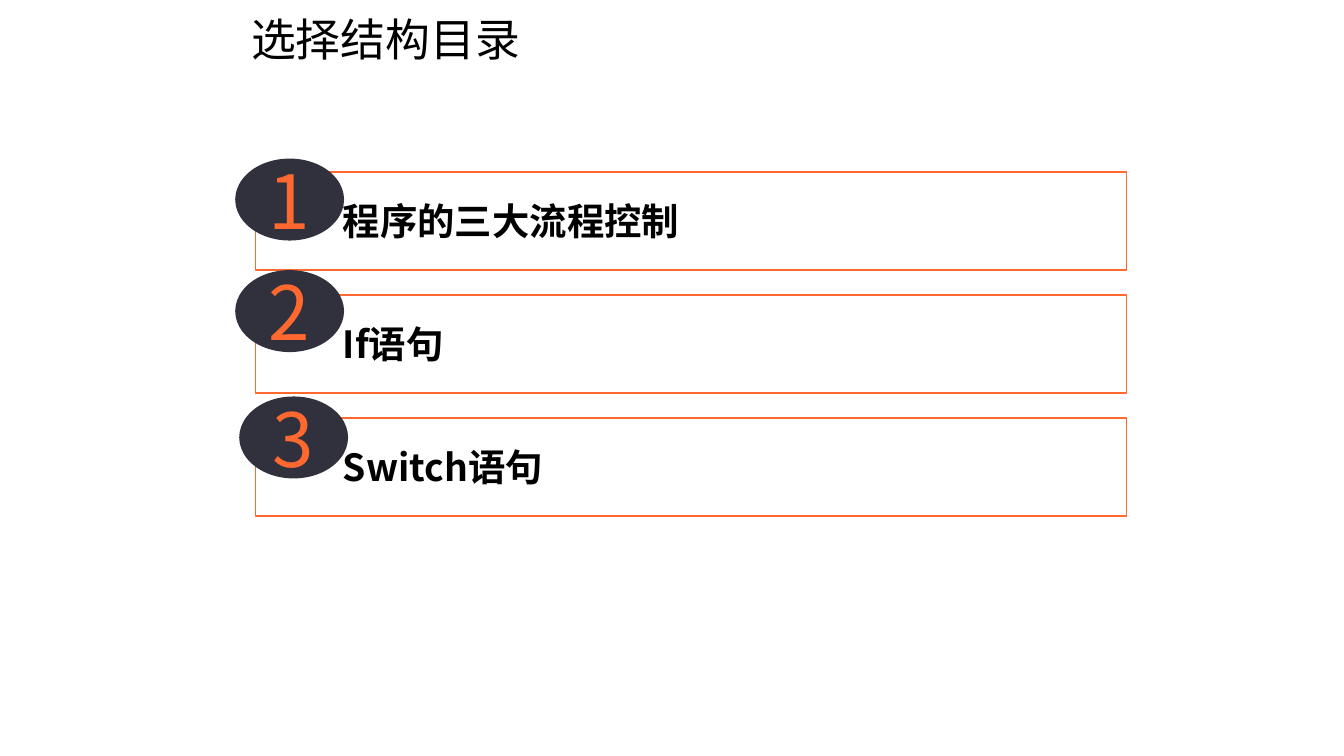
from lxml import etree
from pptx import Presentation
from pptx.dml.color import RGBColor
from pptx.enum.shapes import MSO_SHAPE
from pptx.enum.text import MSO_ANCHOR, PP_ALIGN
from pptx.oxml.ns import qn
from pptx.util import Inches, Pt

RECT, OVAL = MSO_SHAPE.RECTANGLE, MSO_SHAPE.OVAL
TOP, MIDDLE = MSO_ANCHOR.TOP, MSO_ANCHOR.MIDDLE
LEFT, CENTER = PP_ALIGN.LEFT, PP_ALIGN.CENTER

FONT = "Noto Sans CJK SC"
ORANGE, DARK, WHITE, BLACK = "FF682F", "30313C", "FFFFFF", "000000"

SLIDE_W = 10
SLIDE_H = SLIDE_W * 9 / 16
TITLE = "选择结构目录"
# entry text, left and top of its number badge
ENTRIES = [
    ("程序的三大流程控制", 1.75, 1.18),
    ("If语句", 1.75, 2.01),
    ("Switch语句", 1.78, 2.95),
]
BAR_LEFT, BAR_W, BAR_H = 1.9, 6.48, 0.73
FIRST_BAR_TOP, LAST_BAR_TOP = 1.28, 3.11
BAR_STEP = (LAST_BAR_TOP - FIRST_BAR_TOP) / (len(ENTRIES) - 1)
BADGE_W, BADGE_H = 0.81, 0.61


def rgb(color):
    return RGBColor.from_string(color)


def write(sp, text, size, color=BLACK, bold=False, align=LEFT, anchor=MIDDLE,
          margins=(0.1, 0.05, 0.1, 0.05), wrap=True):
    tf = sp.text_frame
    tf.word_wrap = wrap
    tf.vertical_anchor = anchor
    tf.margin_left, tf.margin_top, tf.margin_right, tf.margin_bottom = map(Inches, margins)
    p = tf.paragraphs[0]
    p.alignment = align
    r = p.add_run()
    r.text = text
    r.font.name, r.font.size, r.font.bold = FONT, Pt(size), bold
    r.font.color.rgb = rgb(color)
    ea = etree.SubElement(r.font._element, qn("a:ea"))
    ea.set("typeface", FONT)


def add_shape(s, kind, x, y, w, h, fill, line=None, opacity=None):
    sp = s.shapes.add_shape(kind, Inches(x), Inches(y), Inches(w), Inches(h))
    sp.shadow.inherit = False
    sp.fill.solid()
    sp.fill.fore_color.rgb = rgb(fill)
    if opacity is not None:
        color = sp._element.spPr.find(qn("a:solidFill"))[0]
        etree.SubElement(color, qn("a:alpha")).set("val", str(opacity * 1000))
    if line:
        sp.line.color.rgb = rgb(line)
        sp.line.width = Pt(0.75)
    else:
        sp.line.fill.background()
    return sp


prs = Presentation()
prs.slide_width, prs.slide_height = Inches(SLIDE_W), Inches(SLIDE_H)
s = prs.slides.add_slide(prs.slide_layouts[6])

for i, (text, _, _) in enumerate(ENTRIES):
    bar = add_shape(s, RECT, BAR_LEFT, FIRST_BAR_TOP + i * BAR_STEP, BAR_W, BAR_H,
                    WHITE, line=ORANGE, opacity=40)
    write(bar, text, 20, bold=True, margins=(0.65, 0.08, 0.08, 0.08))

title = s.shapes.add_textbox(Inches(1.77), Inches(0.04), Inches(2.28), Inches(0.5))
write(title, TITLE, 24, anchor=TOP, wrap=False)

for number, (_, x, y) in enumerate(ENTRIES, 1):
    badge = add_shape(s, OVAL, x, y, BADGE_W, BADGE_H, DARK)
    write(badge, str(number), 40, color=ORANGE, align=CENTER)

prs.save("out.pptx")
